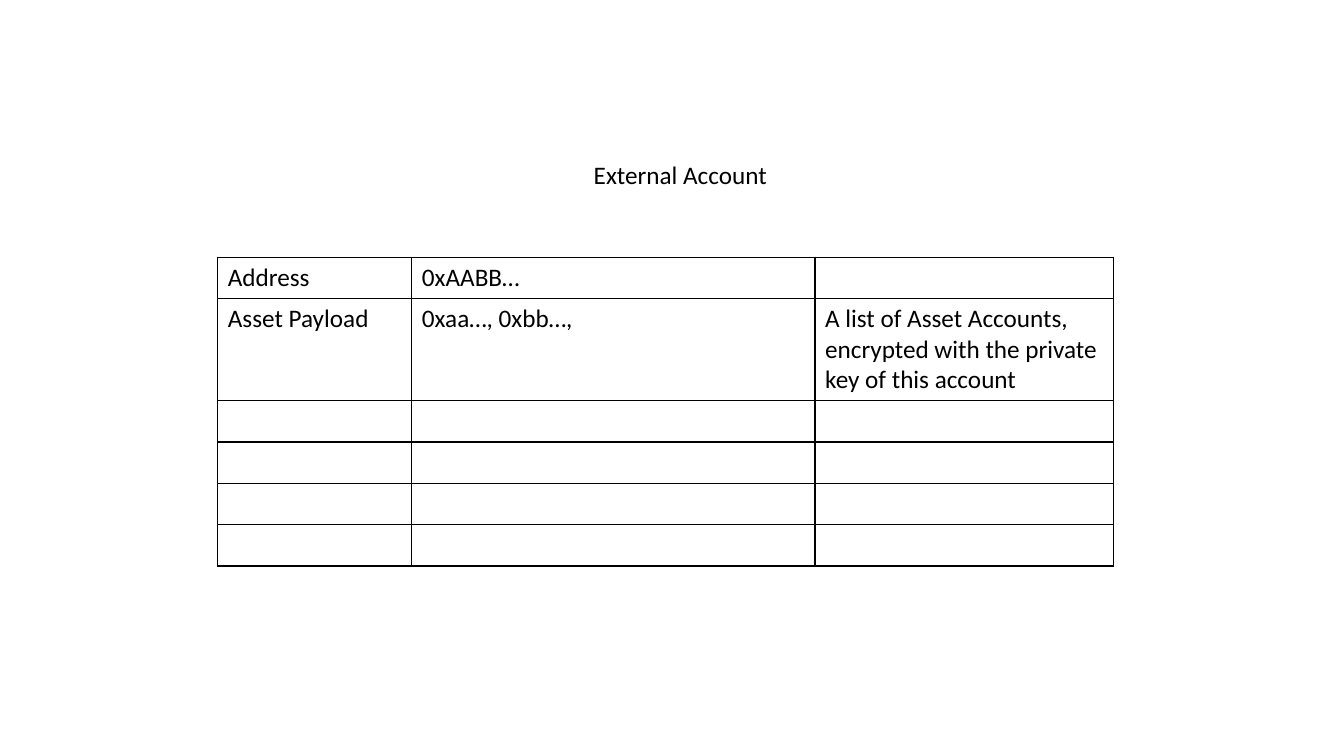
import pptx
import pptx.util
import pptx.dml.color
import pptx.enum.text
import pptx.oxml
import pptx.oxml.ns
from pptx.util import Cm

# Content
HEADING = "External Account"
ACCOUNT_FIELDS = [
    ("Address", "0xAABB…", ""),
    ("Asset Payload", "0xaa…, 0xbb…, ",
     "A list of Asset Accounts, encrypted with the private key of this account"),
]
EMPTY_ROWS = 4
FONT, FONT_SIZE = "Calibri", 18
BLACK = "000000"

# Layout in centimetres
COLUMN_WIDTHS = [4.89, 10.16, 7.53]
ROW_HEIGHT, PAYLOAD_HEIGHT = 1.04, 2.58
TABLE_LEFT, TABLE_TOP = 5.49, 6.48


def rgb(color):
    return pptx.dml.color.RGBColor.from_string(color)


def style_text(frame):
    for paragraph in frame.paragraphs:
        paragraph.font.name = FONT
        paragraph.font.size = pptx.util.Pt(FONT_SIZE)
        paragraph.font.color.rgb = rgb(BLACK)


def add_borders(cell, color, width):
    properties = cell._tc.get_or_add_tcPr()
    for position, side in enumerate(("lnL", "lnR", "lnT", "lnB")):
        properties.insert(position, pptx.oxml.parse_xml(
            f'<a:{side} {pptx.oxml.ns.nsdecls("a")} w="{pptx.util.Pt(width)}">'
            f'<a:solidFill><a:srgbClr val="{color}"/></a:solidFill></a:{side}>'))


presentation = pptx.Presentation()
presentation.slide_width, presentation.slide_height = Cm(33.87), Cm(19.05)
slide = presentation.slides.add_slide(presentation.slide_layouts[5])

# Heading
heading = slide.shapes.title
heading.left, heading.top, heading.width, heading.height = map(Cm, (14.68, 3.89, 4.93, 1.02))
heading.text_frame.text = HEADING
heading.text_frame.word_wrap = False
heading.text_frame.auto_size = pptx.enum.text.MSO_AUTO_SIZE.SHAPE_TO_FIT_TEXT
style_text(heading.text_frame)

# Account table
rows = ACCOUNT_FIELDS + [("",) * len(COLUMN_WIDTHS)] * EMPTY_ROWS
row_heights = [ROW_HEIGHT, PAYLOAD_HEIGHT] + [ROW_HEIGHT] * EMPTY_ROWS
account = slide.shapes.add_table(
    len(rows), len(COLUMN_WIDTHS), Cm(TABLE_LEFT), Cm(TABLE_TOP),
    Cm(sum(COLUMN_WIDTHS)), Cm(sum(row_heights))).table
account.first_row = account.horz_banding = False
for column, width in zip(account.columns, COLUMN_WIDTHS):
    column.width = Cm(width)
for row, height, texts in zip(account.rows, row_heights, rows):
    row.height = Cm(height)
    for cell, text in zip(row.cells, texts):
        cell.text = text
        cell.fill.background()
        style_text(cell.text_frame)
        add_borders(cell, BLACK, 1)

presentation.save("out.pptx")
